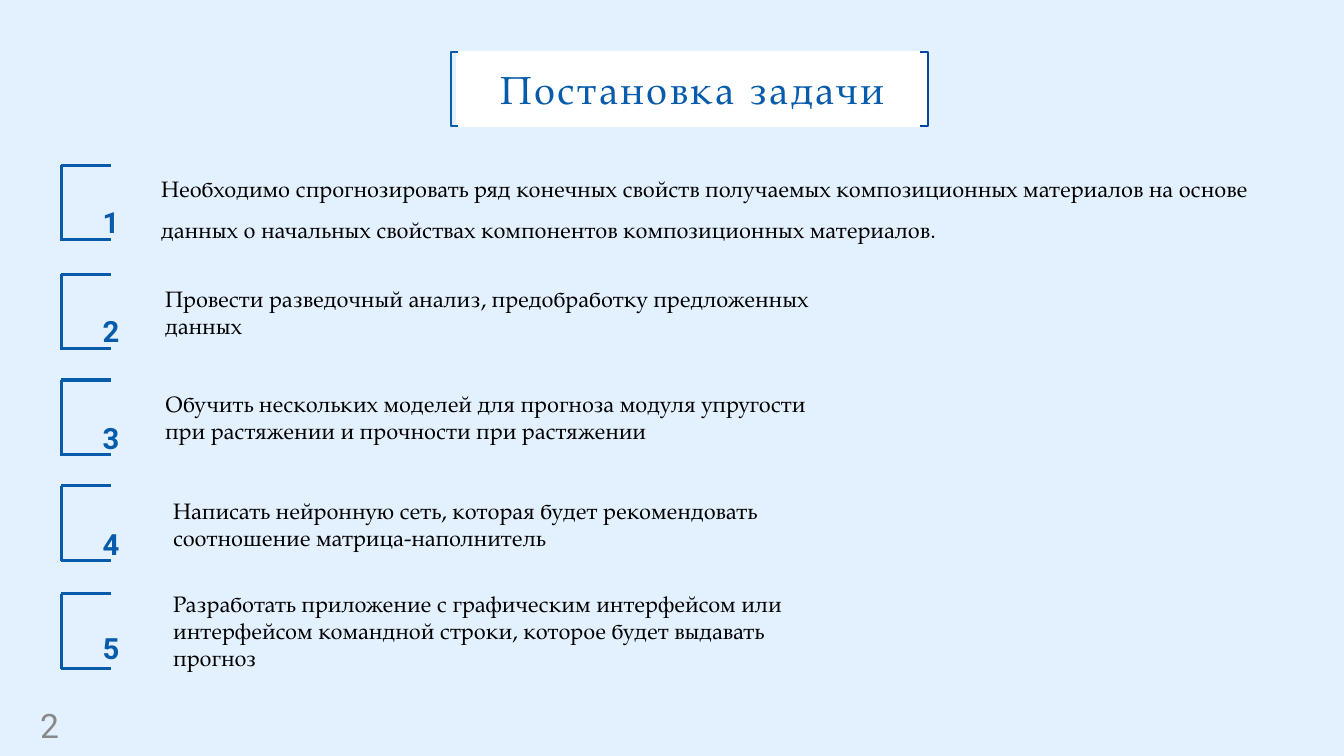
from lxml.etree import SubElement
from pptx import Presentation
from pptx.dml.color import RGBColor
from pptx.enum.shapes import MSO_CONNECTOR
from pptx.enum.text import MSO_ANCHOR, PP_ALIGN
from pptx.oxml.ns import qn
from pptx.util import Pt

PX = 9144  # 100 px to the inch
BACKGROUND = RGBColor(0xE3, 0xF0, 0xFD)
BLUE = RGBColor(0x06, 0x5C, 0xAB)
DEEP_BLUE = RGBColor(0x00, 0x46, 0xA2)
WHITE = RGBColor(0xFF, 0xFF, 0xFF)
BLACK = RGBColor(0x00, 0x00, 0x00)
GREY = RGBColor(0x89, 0x89, 0x89)
SERIF = "TeX Gyre Pagella"
SANS = "Roboto"

BRACKET_LEFT = 61
# bracket top, number top, text box (left, top, width, height), line spacing, text
TASKS = [
    (164, 192, (150, 156, 1120, 91), 1.5,
     "Необходимо спрогнозировать ряд конечных свойств получаемых композиционных материалов "
     "на основе данных о начальных свойствах компонентов композиционных материалов."),
    (272, 300, (154, 278, 680, 64), 1.0,
     "Провести разведочный анализ, предобработку предложенных данных"),
    (377, 406, (154, 382, 680, 64), 1.0,
     "Обучить нескольких моделей для прогноза модуля упругости при растяжении "
     "и прочности при растяжении"),
    (482, 511, (162, 488, 680, 64), 1.0,
     "Написать нейронную сеть, которая будет рекомендовать соотношение матрица-наполнитель"),
    (589, 614, (162, 581, 680, 91), 1.0,
     "Разработать приложение с графическим интерфейсом или интерфейсом командной строки, "
     "которое будет выдавать прогноз"),
]


def px(*lengths):
    return [length * PX for length in lengths]


def add_run(paragraph, text, font_name, size, color, bold=False):
    run = paragraph.add_run()
    run.text = text
    run.font.name = font_name
    run.font.size = Pt(size)
    run.font.bold = bold
    run.font.color.rgb = color
    return run


def add_text_box(slide, box):
    """Add a wrapping text box and return its frame."""
    frame = slide.shapes.add_textbox(*px(*box)).text_frame
    frame.word_wrap = True
    return frame


def add_line(slide, start, end):
    line = slide.shapes.add_connector(MSO_CONNECTOR.STRAIGHT, *px(*start, *end))
    line.line.color.rgb = BLUE
    line.line.width = Pt(2.25)
    SubElement(line._element.spPr, qn("a:effectLst"))


def add_title_bracket(slide, tip, back, top, bottom, color):
    """Draw an open bracket whose arms run from the back to the tip."""
    builder = slide.shapes.build_freeform(tip, top, scale=PX)
    builder.add_line_segments([(back, top), (back, bottom), (tip, bottom)], close=False)
    bracket = builder.convert_to_shape()
    bracket.shadow.inherit = False
    bracket.fill.background()
    bracket.line.color.rgb = color
    bracket.line.width = Pt(1.3)


def outline_text(run, color, width):
    properties = run.font._element
    outline = SubElement(properties, qn("a:ln"), w=str(Pt(width)))
    SubElement(SubElement(outline, qn("a:solidFill")), qn("a:srgbClr"), val=str(color))
    properties.insert(0, outline)


def add_title(slide, left, top, width, height):
    title = slide.shapes.title
    title.left, title.top, title.width, title.height = px(left, top, width, height)
    title.fill.solid()
    title.fill.fore_color.rgb = WHITE
    title.line.color.rgb = WHITE
    title.line.width = Pt(2)
    title.text_frame.vertical_anchor = MSO_ANCHOR.MIDDLE
    paragraph = title.text_frame.paragraphs[0]
    paragraph.alignment = PP_ALIGN.CENTER
    run = add_run(paragraph, "Постановка задачи", SERIF, 28, BLUE)
    run.font._element.set("spc", "180")
    outline_text(run, BLUE, 0.75)

    right, bottom = left + width, top + height
    add_title_bracket(slide, left, left - 7, top, bottom, BLUE)
    add_title_bracket(slide, right - 8, right, top, bottom, DEEP_BLUE)


def add_number_bracket(slide, left, top, width=49, height=75):
    add_line(slide, (left, top), (left, top + height))
    for arm in (top, top + height - 1):
        add_line(slide, (left, arm), (left + width, arm))


def add_task(slide, number, bracket_top, number_top, text_box, spacing, text):
    add_number_bracket(slide, BRACKET_LEFT, bracket_top)

    number_frame = add_text_box(slide, (BRACKET_LEFT + 31, number_top, 118, 50))
    run = add_run(number_frame.paragraphs[0], str(number), SANS, 36, BLUE, bold=True)
    run.font._element.set("baseline", "30000")

    paragraph = add_text_box(slide, text_box).paragraphs[0]
    paragraph.line_spacing = spacing
    add_run(paragraph, text, SERIF, 16, BLACK)


def add_page_number(slide, box):
    frame = add_text_box(slide, box)
    frame.vertical_anchor = MSO_ANCHOR.MIDDLE
    add_run(frame.paragraphs[0], "2", SANS, 24, GREY)


def main():
    presentation = Presentation()
    presentation.slide_width, presentation.slide_height = px(1333, 750)
    slide = presentation.slides.add_slide(presentation.slide_layouts[5])
    slide.background.fill.solid()
    slide.background.fill.fore_color.rgb = BACKGROUND
    add_title(slide, 454, 52, 466, 73)
    for number, task in enumerate(TASKS, start=1):
        add_task(slide, number, *task)
    add_page_number(slide, (30, 704, 62, 30))
    presentation.save("out.pptx")


if __name__ == "__main__":
    main()
